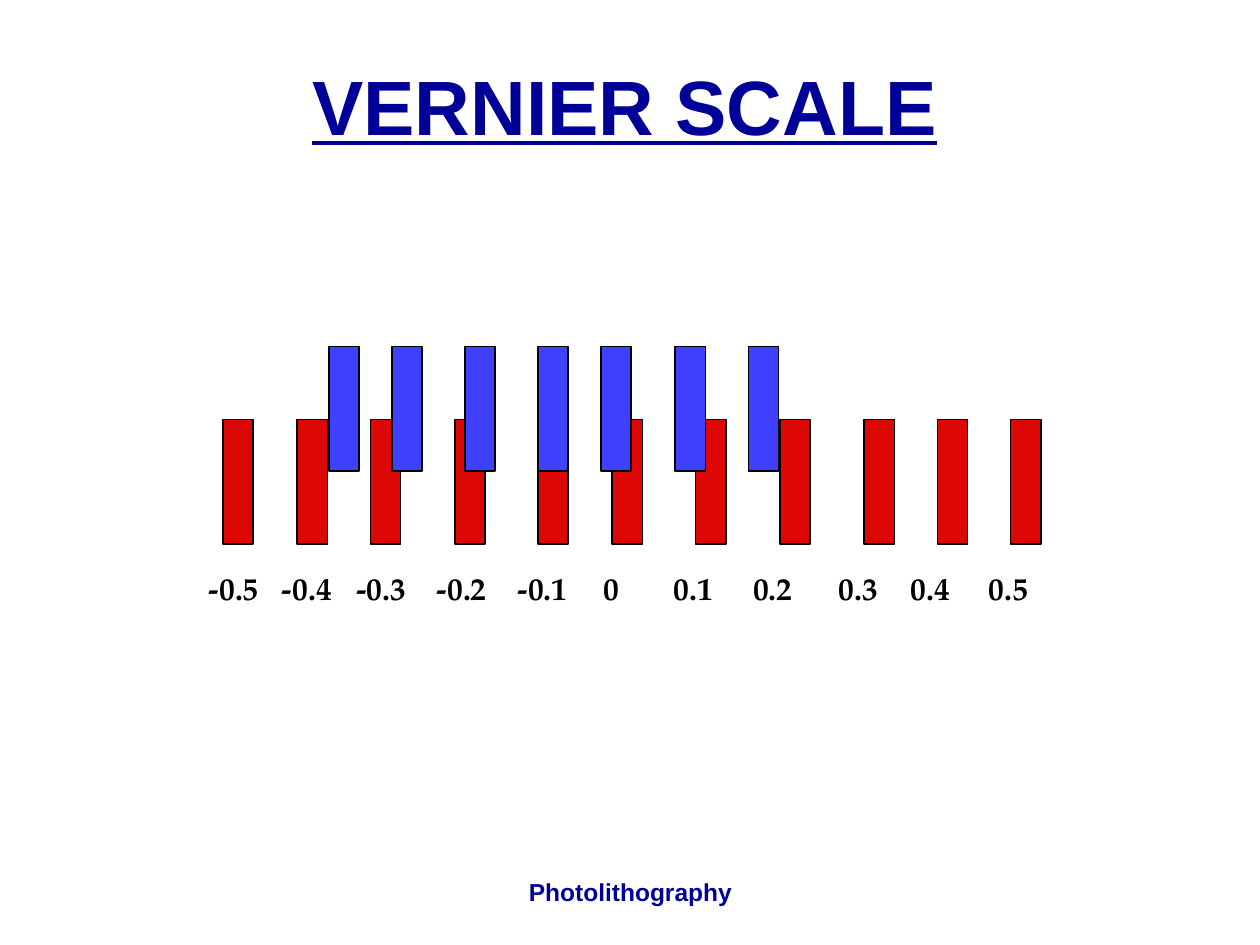
from pptx import Presentation
from pptx.dml.color import RGBColor
from pptx.enum import shapes, text
from pptx.oxml.ns import qn
from pptx.util import Inches, Pt
from lxml import etree

NAVY, BLACK, RED, BLUE = "000099", "000000", "DD0806", "4040FF"
BAR_WIDTH, BAR_HEIGHT = 0.24, 0.99

# Each scale: bar colour, top of bars, left edges of bars
SCALES = [
    (RED, 3.33, [1.77, 2.36, 2.94, 3.61, 4.27, 4.86, 5.52, 6.19, 6.86, 7.44, 8.02]),
    (BLUE, 2.75, [2.61, 3.11, 3.69, 4.27, 4.77, 5.36, 5.94]),
]
# Each label row: box left, box width, labels with their offset in the row
LABEL_ROWS = [
    (1.56, 3.26, [("-0.5", 0), ("-0.4", 0.58), ("-0.3", 1.17),
                  ("-0.2", 1.81), ("-0.1", 2.45)]),
    (4.69, 3.86, [("0", 0), ("0.1", 0.56), ("0.2", 1.19),
                  ("0.3", 1.87), ("0.4", 2.44), ("0.5", 3.06)]),
]


def color(value):
    return RGBColor.from_string(value)


def add_text(slide, words, at, size, font, fill, align=text.PP_ALIGN.LEFT,
             anchor=text.MSO_ANCHOR.TOP, tabs=()):
    """Add a one-line bold text box, with tab stops in inches, and return its paragraph."""
    frame = slide.shapes.add_textbox(*map(Inches, at)).text_frame
    frame.word_wrap = True
    frame.vertical_anchor = anchor
    para = frame.paragraphs[0]
    para.alignment = align
    if tabs:
        stops = etree.SubElement(para._p.get_or_add_pPr(), qn("a:tabLst"))
        for stop in tabs:
            etree.SubElement(stops, qn("a:tab"), pos=str(Inches(stop)), algn="l")
    span = para.add_run()
    span.text = words
    span.font.size = Pt(size)
    span.font.name = font
    span.font.bold = True
    span.font.color.rgb = color(fill)
    return para


def add_scale(slide, fill, top, lefts):
    group = slide.shapes.add_group_shape()
    for left in lefts:
        bar = group.shapes.add_shape(
            shapes.MSO_SHAPE.RECTANGLE,
            *map(Inches, (left, top, BAR_WIDTH, BAR_HEIGHT)))
        bar.shadow.inherit = False
        bar.fill.solid()
        bar.fill.fore_color.rgb = color(fill)
        bar.line.color.rgb = color(BLACK)
        bar.line.width = Pt(1)


def main():
    deck = Presentation()
    deck.slide_width, deck.slide_height = Inches(10), Inches(7.5)
    slide = deck.slides.add_slide(deck.slide_layouts[6])

    centred = dict(align=text.PP_ALIGN.CENTER, anchor=text.MSO_ANCHOR.MIDDLE)
    add_text(slide, "Photolithography", (3.42, 6.83, 3.17, 0.5),
             14, "Arial", NAVY, **centred)
    title = add_text(slide, "VERNIER SCALE", (0.5, 0.25, 8.92, 1.25),
                     44, "Arial", NAVY, **centred)
    title.line_spacing = 0.9
    title.runs[0].font.underline = True

    for scale in SCALES:
        add_scale(slide, *scale)
    for left, width, labels in LABEL_ROWS:
        add_text(slide, "\t".join(label for label, _ in labels),
                 (left, 4.47, width, 0.4), 18, "TeX Gyre Pagella", BLACK,
                 tabs=[offset for _, offset in labels[1:]])

    deck.save("out.pptx")


if __name__ == "__main__":
    main()
